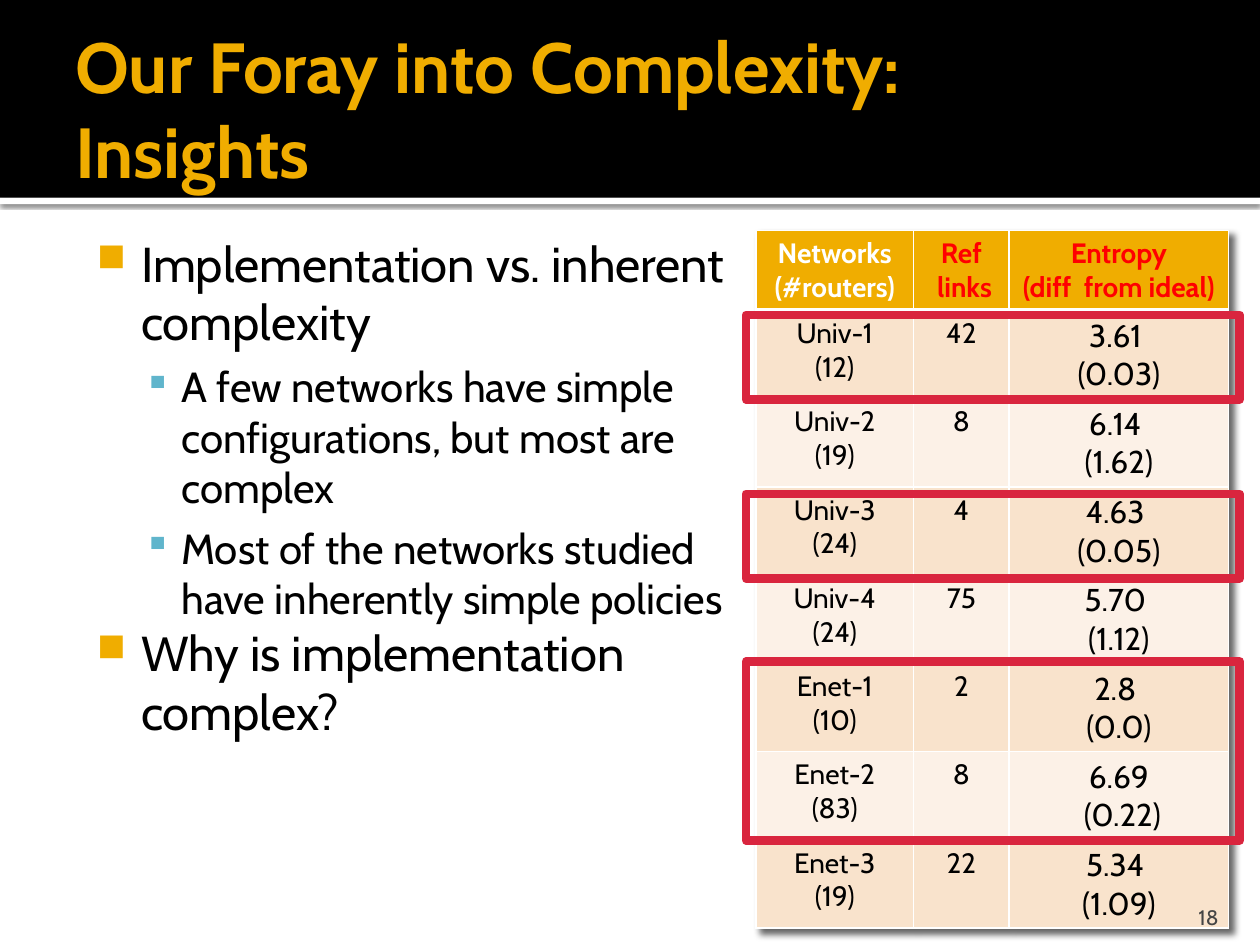
import dataclasses
import typing

import lxml.etree
import pptx
import pptx.dml.color
import pptx.enum.shapes
import pptx.enum.text
import pptx.oxml
import pptx.oxml.ns
import pptx.util

Inches = pptx.util.Inches
Pt = pptx.util.Pt
Align = pptx.enum.text.PP_ALIGN
Anchor = pptx.enum.text.MSO_ANCHOR
FONT = "Cabin"
GOLD, BLACK, WHITE, RED = "F0AD00", "000000", "FFFFFF", "FF0000"


@dataclasses.dataclass
class Level:
    size: float
    indent: float
    hanging: float
    space_before: float
    bullet: str
    bullet_color: str
    bullet_percent: int


@dataclasses.dataclass
class Point:
    text: str
    level: int


@dataclasses.dataclass
class Network:
    name: str
    routers: int
    ref_links: int
    entropy: str
    difference: str


@dataclasses.dataclass
class Highlight:
    top: float
    height: float


LEVELS = [
    Level(28, 0.48, 0.35, 0, "■", GOLD, 80),
    Level(24, 0.8, 0.3, 5.75, "▪", "60B5CC", 90),
]
POINTS = [
    Point("Implementation vs. inherent complexity", 0),
    Point("A few networks have simple configurations, but most are complex", 1),
    Point("Most of the networks studied have inherently simple policies", 1),
    Point("Why is implementation complex?", 0),
]
HEADINGS = [
    ("Networks\n(#routers)", WHITE),
    ("Ref\n links", RED),
    ("Entropy\n(diff  from ideal)", RED),
]
NETWORKS = [
    Network("Univ-1", 12, 42, "3.61 ", "(0.03)"),
    Network("Univ-2", 19, 8, "6.14 ", "(1.62)"),
    Network("Univ-3", 24, 4, "4.63 ", "(0.05)"),
    Network("Univ-4", 24, 75, "5.70 ", "(1.12)"),
    Network("Enet-1", 10, 2, "2.8 ", "(0.0)"),
    Network("Enet-2", 83, 8, "6.69", " (0.22)"),
    Network("Enet-3", 19, 22, "5.34 ", "(1.09)"),
]
HIGHLIGHTS = [Highlight(2.5, 0.67), Highlight(3.92, 0.67), Highlight(5.25, 1.42)]


def rgb(color: str) -> pptx.dml.color.RGBColor:
    return pptx.dml.color.RGBColor.from_string(color)


def xml(markup: str) -> lxml.etree._Element:
    head, tail = markup.split(">", 1)
    slash = "/" if head.endswith("/") else ""
    return pptx.oxml.parse_xml(
        f"{head.rstrip('/')} {pptx.oxml.ns.nsdecls('a')}{slash}>{tail}"
    )


def shadow_effect(blur: float, distance: float, angle: int) -> lxml.etree._Element:
    return xml(
        f'<a:effectLst><a:outerShdw blurRad="{Pt(blur)}" dist="{Pt(distance)}" '
        f'dir="{angle * 60000}" algn="tl" rotWithShape="0"><a:srgbClr val="{BLACK}">'
        '<a:alpha val="60000"/></a:srgbClr></a:outerShdw></a:effectLst>'
    )


def write(paragraph: typing.Any, text: str, size: float, color: str = BLACK, bold: bool = False) -> None:
    for number, line in enumerate(text.split("\n")):
        if number:
            paragraph.add_line_break()
        run = paragraph.add_run()
        run.text = line
        run.font.name = FONT
        run.font.size = Pt(size)
        run.font.bold = bold
        run.font.color.rgb = rgb(color)


def add_rectangle(slide: typing.Any, left: float, top: float, width: float, height: float,
                  fill: str = "", line: str = "") -> typing.Any:
    rectangle = slide.shapes.add_shape(
        pptx.enum.shapes.MSO_SHAPE.RECTANGLE,
        Inches(left), Inches(top), Inches(width), Inches(height))
    rectangle.shadow.inherit = False
    if fill:
        rectangle.fill.solid()
        rectangle.fill.fore_color.rgb = rgb(fill)
    else:
        rectangle.fill.background()
    if line:
        rectangle.line.color.rgb = rgb(line)
        rectangle.line.width = Pt(5)
    else:
        rectangle.line.fill.background()
    return rectangle


def add_text_frame(slide: typing.Any, box: tuple[float, ...], insets: tuple[float, ...],
                   anchor: typing.Any) -> typing.Any:
    frame = slide.shapes.add_textbox(*map(Inches, box)).text_frame
    frame.word_wrap = True
    frame.vertical_anchor = anchor
    frame.margin_left, frame.margin_top, frame.margin_right, frame.margin_bottom = map(Inches, insets)
    return frame


def add_point(paragraph: typing.Any, point: Point) -> None:
    level = LEVELS[point.level]
    paragraph.level = point.level
    paragraph.space_before = Pt(level.space_before)
    write(paragraph, point.text, level.size)
    properties = paragraph._p.get_or_add_pPr()
    properties.set("marL", str(Inches(level.indent)))
    properties.set("indent", str(-Inches(level.hanging)))
    properties.append(xml(f'<a:buClr><a:srgbClr val="{level.bullet_color}"/></a:buClr>'))
    properties.append(xml(f'<a:buSzPct val="{level.bullet_percent * 1000}"/>'))
    properties.append(xml(f'<a:buChar char="{level.bullet}"/>'))


def fill_cell(cell: typing.Any, lines: list[str], size: float, fill: str,
              color: str = BLACK, bold: bool = False, bottom: float = 1) -> None:
    cell.fill.solid()
    cell.fill.fore_color.rgb = rgb(fill)
    for number, line in enumerate(lines):
        paragraph = cell.text_frame.add_paragraph() if number else cell.text_frame.paragraphs[0]
        paragraph.alignment = Align.CENTER
        write(paragraph, line, size, color, bold)
    properties = cell._tc.get_or_add_tcPr()
    for position, (side, width) in enumerate([("L", 1), ("R", 1), ("T", 1), ("B", bottom)]):
        properties.insert(position, xml(
            f'<a:ln{side} w="{Pt(width)}"><a:solidFill><a:srgbClr val="{WHITE}"/>'
            f'</a:solidFill></a:ln{side}>'))


def add_network_table(slide: typing.Any) -> None:
    table = slide.shapes.add_table(
        len(NETWORKS) + 1, len(HEADINGS), Inches(6), Inches(1.83), Inches(3.75), Inches(5.53)).table
    table._tbl.tblPr.insert(0, shadow_effect(4, 4, 45))
    for column, width in zip(table.columns, (1.25, 0.76, 1.74)):
        column.width = Inches(width)
    for number, row in enumerate(table.rows):
        row.height = Inches(0.7 if number else 0.63)
    for column, (heading, color) in enumerate(HEADINGS):
        fill_cell(table.cell(0, column), [heading], 16, GOLD, color, True, 3)
    for row, network in enumerate(NETWORKS, 1):
        band = "F9E3CC" if row % 2 else "FCF1E7"
        fill_cell(table.cell(row, 0), [f"{network.name}\n({network.routers})"], 16, band)
        fill_cell(table.cell(row, 1), [str(network.ref_links)], 16, band)
        fill_cell(table.cell(row, 2), [network.entropy, network.difference], 18, band)


presentation = pptx.Presentation()
presentation.slide_width = Inches(10)
presentation.slide_height = Inches(7.5)
slide = presentation.slides.add_slide(presentation.slide_layouts[6])

header_edge = add_rectangle(slide, 0, 1.57, 10, 0.05, fill=WHITE)
edge_properties = header_edge._element.spPr
edge_properties.replace(
    edge_properties.find(pptx.oxml.ns.qn("a:effectLst")), shadow_effect(2.5, 0.8, 90))
add_rectangle(slide, 0, 0, 10, 1.57, fill=BLACK)

title = add_text_frame(slide, (0.5, 0.17, 9, 1.37), (0.1, 0.05, 0.05, 0.05), Anchor.MIDDLE)
write(title.paragraphs[0], "Our Foray into Complexity: \nInsights", 40.5, GOLD, True)

insights = add_text_frame(slide, (0.58, 1.75, 5.5, 4.92), (0.06, 0.1, 0.1, 0.05), Anchor.TOP)
for index, point in enumerate(POINTS):
    add_point(insights.add_paragraph() if index else insights.paragraphs[0], point)

add_network_table(slide)

page_number = add_text_frame(slide, (8.97, 7.08, 0.8, 0.3), (0.1, 0.05, 0.1, 0), Anchor.BOTTOM)
page_number.paragraphs[0].alignment = Align.RIGHT
write(page_number.paragraphs[0], "18", 12, "454545")

for highlight in HIGHLIGHTS:
    add_rectangle(slide, 5.92, highlight.top, 3.92, highlight.height, line="D9253E")

presentation.save("out.pptx")
